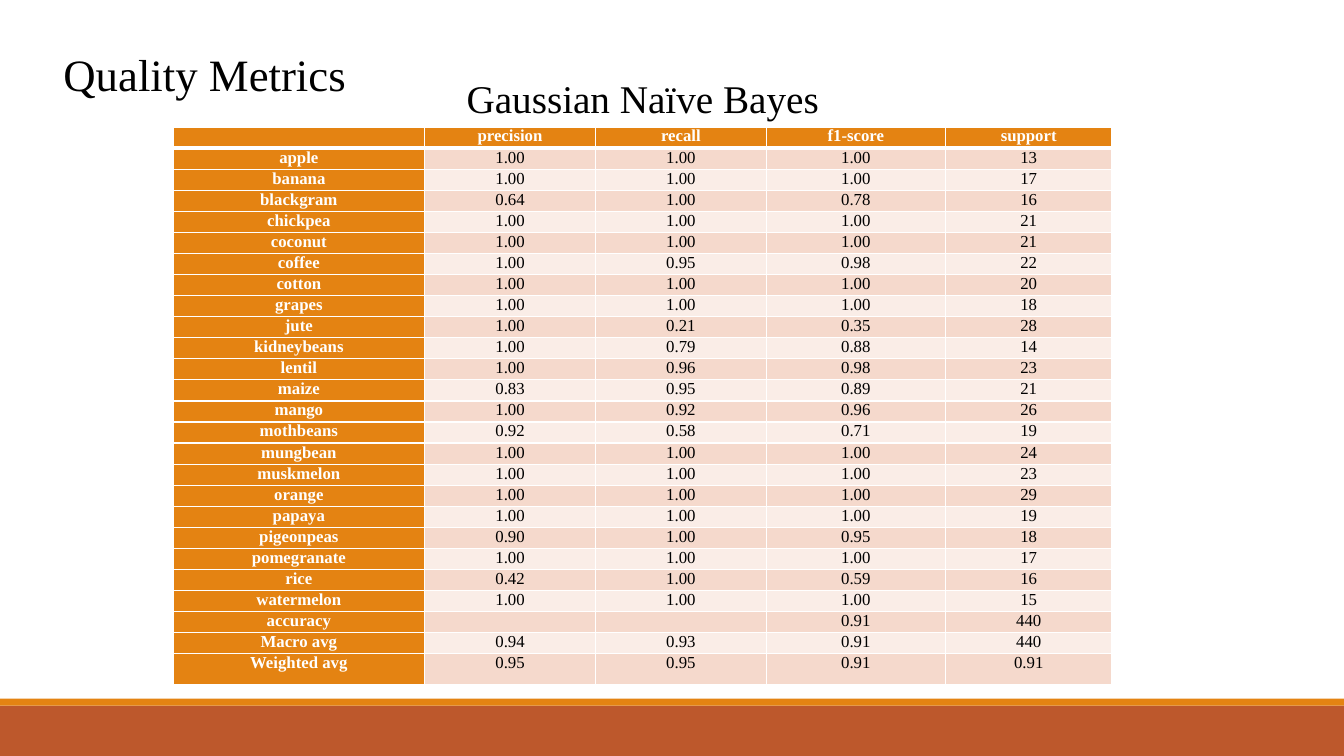
from lxml.etree import SubElement
from pptx import Presentation
from pptx.dml.color import RGBColor
from pptx.enum.shapes import MSO_SHAPE as Shape
from pptx.enum.text import MSO_ANCHOR as Anchor, PP_ALIGN as Align
from pptx.oxml.ns import qn
from pptx.util import Inches, Pt

W, H = Inches(13.33), Inches(7.5)
FONT = "Times New Roman"
COLORS = {
    "orange": "E48312",
    "rust": "BD582C",
    "band_dark": "F5D9CC",
    "band_light": "FAEDE7",
    "white": "FFFFFF",
    "black": "000000",
}

# Table geometry in percent of the slide's width and height
COL_SHARES = [18.68, 12.75, 12.68, 13.35, 12.38]
ROW_SHARE, LAST_ROW_SHARE = 2.79, 4.13

HEADER = ["", "precision", "recall", "f1-score", "support"]
METRICS = [
    ["apple", "1.00", "1.00", "1.00", "13"],
    ["banana", "1.00", "1.00", "1.00", "17"],
    ["blackgram", "0.64", "1.00", "0.78", "16"],
    ["chickpea", "1.00", "1.00", "1.00", "21"],
    ["coconut", "1.00", "1.00", "1.00", "21"],
    ["coffee", "1.00", "0.95", "0.98", "22"],
    ["cotton", "1.00", "1.00", "1.00", "20"],
    ["grapes", "1.00", "1.00", "1.00", "18"],
    ["jute", "1.00", "0.21", "0.35", "28"],
    ["kidneybeans", "1.00", "0.79", "0.88", "14"],
    ["lentil", "1.00", "0.96", "0.98", "23"],
    ["maize", "0.83", "0.95", "0.89", "21"],
    ["mango", "1.00", "0.92", "0.96", "26"],
    ["mothbeans", "0.92", "0.58", "0.71", "19"],
    ["mungbean", "1.00", "1.00", "1.00", "24"],
    ["muskmelon", "1.00", "1.00", "1.00", "23"],
    ["orange", "1.00", "1.00", "1.00", "29"],
    ["papaya", "1.00", "1.00", "1.00", "19"],
    ["pigeonpeas", "0.90", "1.00", "0.95", "18"],
    ["pomegranate", "1.00", "1.00", "1.00", "17"],
    ["rice", "0.42", "1.00", "0.59", "16"],
    ["watermelon", "1.00", "1.00", "1.00", "15"],
    ["accuracy", "", "", "0.91", "440"],
    ["Macro avg", "0.94", "0.93", "0.91", "440"],
    ["Weighted avg", "0.95", "0.95", "0.91", "0.91"],
]


def rgb(name):
    return RGBColor.from_string(COLORS[name])


def across(percent):
    return int(W * percent / 100)


def down(percent):
    return int(H * percent / 100)


def box(left, top, width, height):
    return across(left), down(top), across(width), down(height)


def write(p, text, size, color, align, bold=False):
    p.alignment = align
    if not text:
        SubElement(p._p, qn("a:endParaRPr"), sz=str(size * 100))
        return
    p.text = text
    font = p.runs[0].font
    font.name, font.size, font.bold = FONT, Pt(size), bold
    font.color.rgb = rgb(color)


def add_bar(s, top, height, color):
    bar = s.shapes.add_shape(Shape.RECTANGLE, *box(0, top, 100, height))
    bar.shadow.inherit = False
    bar.fill.solid()
    bar.fill.fore_color.rgb = rgb(color)
    bar.line.fill.background()


def add_heading(s, place, text, size, align, wrap):
    tf = s.shapes.add_textbox(*box(*place)).text_frame
    tf.word_wrap = wrap
    tf.vertical_anchor = Anchor.MIDDLE
    write(tf.paragraphs[0], text, size, "black", align)


def set_borders(cell, widths):
    tc_pr = cell._tc.get_or_add_tcPr()
    for side, width in zip("LRTB", widths):
        ln = SubElement(tc_pr, qn(f"a:ln{side}"), w=str(Pt(width)))
        fill = SubElement(ln, qn("a:solidFill"))
        SubElement(fill, qn("a:srgbClr"), val=COLORS["white"])


def style_cell(cell, text, row, col):
    is_label = row == 0 or col == 0
    cell.margin_left = cell.margin_right = Inches(0.07)
    cell.margin_top = cell.margin_bottom = 0
    write(cell.text_frame.paragraphs[0], text, 12,
          "white" if is_label else "black", Align.CENTER, is_label)
    # A thick rule separates the header from the body
    set_borders(cell, (1, 1, 3 if row == 1 else 1, 3 if row == 0 else 1))
    band = "band_dark" if row % 2 else "band_light"
    cell.fill.solid()
    cell.fill.fore_color.rgb = rgb("orange" if is_label else band)


def add_metrics_table(s, left, top):
    rows = [HEADER] + METRICS
    heights = [ROW_SHARE] * (len(rows) - 1) + [LAST_ROW_SHARE]
    place = box(left, top, sum(COL_SHARES), sum(heights))
    table = s.shapes.add_table(len(rows), len(HEADER), *place).table
    for column, share in zip(table.columns, COL_SHARES):
        column.width = across(share)
    for r, (values, share) in enumerate(zip(rows, heights)):
        table.rows[r].height = down(share)
        for c, text in enumerate(values):
            style_cell(table.cell(r, c), text, r, c)


def main():
    prs = Presentation()
    prs.slide_width, prs.slide_height = W, H
    s = prs.slides.add_slide(prs.slide_layouts[6])

    # Footer bars
    add_bar(s, 93.33, 6.67, "rust")
    add_bar(s, 92.4, 0.93, "orange")

    # Headings
    add_heading(s, (3.98, 4.93, 43.89, 9.73), "Quality Metrics", 32,
                Align.LEFT, True)
    add_heading(s, (33.83, 9.2, 27.98, 7.6), "Gaussian Naïve Bayes", 28,
                Align.CENTER, False)

    # Scores per crop
    add_metrics_table(s, 12.9, 16.8)

    prs.save("out.pptx")


if __name__ == "__main__":
    main()
